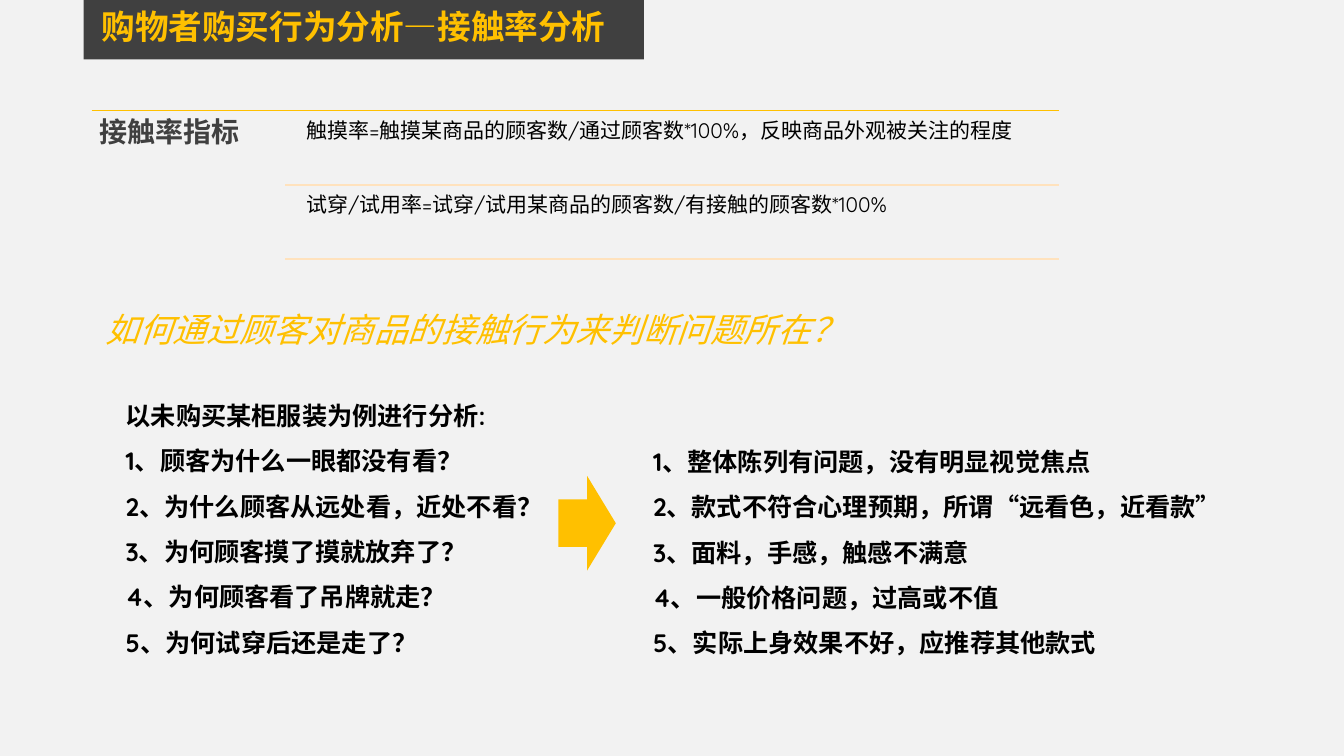
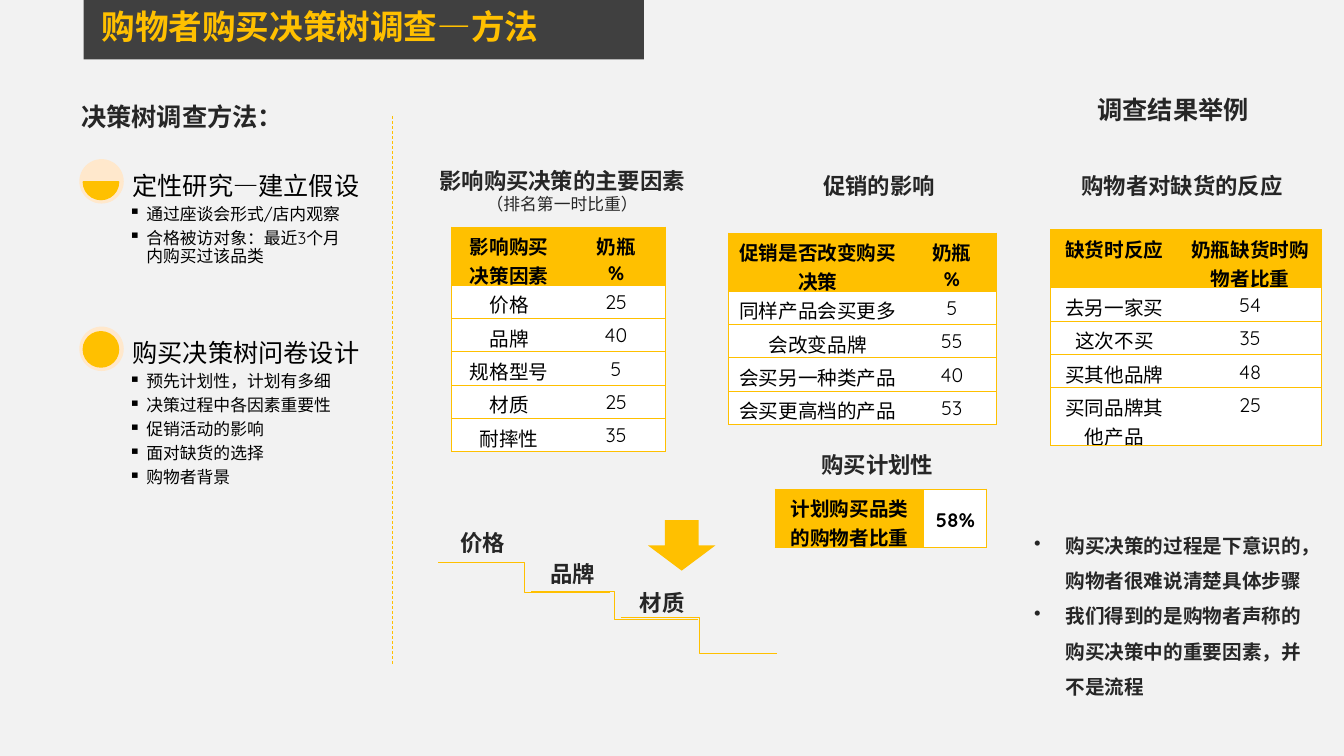
from dataclasses import dataclass

from lxml import etree
from pptx import Presentation
from pptx.dml.color import RGBColor
from pptx.enum.dml import MSO_LINE
from pptx.enum.shapes import MSO_CONNECTOR, MSO_SHAPE
from pptx.enum.text import MSO_ANCHOR, PP_ALIGN
from pptx.oxml.ns import qn
from pptx.util import Cm, Pt

LEFT, CENTER = PP_ALIGN.LEFT, PP_ALIGN.CENTER
TOP, MIDDLE, BOTTOM = MSO_ANCHOR.TOP, MSO_ANCHOR.MIDDLE, MSO_ANCHOR.BOTTOM
STRAIGHT, ELBOW = MSO_CONNECTOR.STRAIGHT, MSO_CONNECTOR.ELBOW
RECTANGLE, OVAL, CHORD = MSO_SHAPE.RECTANGLE, MSO_SHAPE.OVAL, MSO_SHAPE.CHORD
RIGHT_ARROW, DOWN_ARROW = MSO_SHAPE.RIGHT_ARROW, MSO_SHAPE.DOWN_ARROW
DASH = MSO_LINE.DASH

GOLD = RGBColor(0xFF, 0xC0, 0x00)
PALE_GOLD = RGBColor(0xFF, 0xE2, 0xBD)
HALO = RGBColor(0xFF, 0xE8, 0xCC)
CHARCOAL = RGBColor(0x40, 0x40, 0x40)
INK = RGBColor(0x26, 0x26, 0x26)
BLACK = RGBColor(0x00, 0x00, 0x00)
WHITE = RGBColor(0xFF, 0xFF, 0xFF)
PAPER = RGBColor(0xF2, 0xF2, 0xF2)

BODY_FONT = "Quicksand"
NOTE_FONT = "Noto Sans CJK SC"
PLAIN_TABLE_STYLE = "{2D5ABB26-0587-4C30-8999-92F81FD0307C}"
TALL_ROW, SHORT_ROW = 1.46, 0.84


@dataclass(frozen=True)
class Caption:
    text: str
    left: float
    top: float
    width: float
    size: float = 16
    align: PP_ALIGN = CENTER


@dataclass(frozen=True)
class Method:
    heading: str
    points: str
    top: float
    chord: tuple[float, float]


@dataclass(frozen=True)
class Survey:
    left: float
    top: float
    columns: tuple[float, float]
    rows: tuple[tuple[str, str], ...]
    tall_rows: tuple[int, ...] = (0,)
    gold_columns: tuple[int, ...] = (0, 1)
    anchor: MSO_ANCHOR = TOP


@dataclass(frozen=True)
class Step:
    start: tuple[float, float]
    end: tuple[float, float]


FORMULAS = (
    "触摸率=触摸某商品的顾客数/通过顾客数*100%，反映商品外观被关注的程度",
    "试穿/试用率=试穿/试用某商品的顾客数/有接触的顾客数*100%",
)
QUESTIONS = """以未购买某柜服装为例进行分析:
1、顾客为什么一眼都没有看？
2、为什么顾客从远处看，近处不看？
3、为何顾客摸了摸就放弃了？
4、为何顾客看了吊牌就走？
5、为何试穿后还是走了？"""
ANSWERS = """1、整体陈列有问题，没有明显视觉焦点
2、款式不符合心理预期，所谓“远看色，近看款”
3、面料，手感，触感不满意
4、一般价格问题，过高或不值
5、实际上身效果不好，应推荐其他款式"""
METHODS = (
    Method("定性研究—建立假设",
           "通过座谈会形式/店内观察\n合格被访对象：最近3个月内购买过该品类",
           4.01, (0, 108)),
    Method("购买决策树问卷设计",
           "预先计划性，计划有多细\n决策过程中各因素重要性\n促销活动的影响\n"
           "面对缺货的选择\n购物者背景",
           8.23, (162, 162)),
)
CAPTIONS = (
    Caption("决策树调查方法：", 1.8, 2.44, 8.36, 18, LEFT),
    Caption("调查结果举例", 27.41, 2.24, 4.65, 18, LEFT),
    Caption("促销的影响", 19.38, 4.22, 5.54),
    Caption("购物者对缺货的反应", 26.64, 4.22, 6.3),
    Caption("购买计划性", 20.02, 11.25, 4.19),
    Caption("价格", 10.59, 13.21, 3.15),
    Caption("品牌", 12.85, 14, 3.15),
    Caption("材质", 15.11, 14.71, 3.15),
)
SURVEYS = (
    Survey(11.38, 5.72, (2.9, 2.49),
           (("影响购买决策因素", "奶瓶\n%"), ("价格", "25"), ("品牌", "40"),
            ("规格型号", "5"), ("材质", "25"), ("耐摔性", "35"))),
    Survey(18.36, 5.87, (4.5, 2.26),
           (("促销是否改变购买决策", "奶瓶\n%"), ("同样产品会买更多", "5"),
            ("会改变品牌", "55"), ("会买另一种类产品", "40"),
            ("会买更高档的产品", "53"))),
    Survey(26.47, 5.79, (3.23, 3.61),
           (("缺货时反应", "奶瓶缺货时购物者比重"), ("去另一家买", "54"),
            ("这次不买", "35"), ("买其他品牌", "48"), ("买同品牌其他产品", "25")),
           tall_rows=(0, 4)),
    Survey(19.53, 12.32, (3.76, 1.57), (("计划购买品类的购物者比重", "58%"),),
           gold_columns=(0,), anchor=MIDDLE),
)
STEPS = (
    Step((11.05, 14.17), (15.37, 14.94)),
    Step((13.39, 14.91), (17.58, 15.6)),
    Step((15.65, 15.57), (19.58, 16.46)),
)
CONCLUSIONS = ("购买决策的过程是下意识的，购物者很难说清楚具体步骤\n"
               "我们得到的是购物者声称的购买决策中的重要因素，并不是流程")


def write_text(frame, text: str, *, size: float, color: RGBColor = BLACK,
               bold: bool = False, italic: bool = False, font: str = BODY_FONT,
               align: PP_ALIGN = LEFT, spacing: float = 1, after: float = 0,
               bullet: str = "", indent: float = 0) -> None:
    for line in text.split("\n"):
        paragraph = frame.add_paragraph() if frame.text else frame.paragraphs[0]
        paragraph.alignment = align
        paragraph.line_spacing = spacing
        paragraph.space_after = Pt(after)
        if bullet:
            properties = paragraph._p.get_or_add_pPr()
            properties.set("marL", str(Cm(indent)))
            properties.set("indent", str(-Cm(indent)))
            etree.SubElement(properties, qn("a:buChar")).set("char", bullet)
        run = paragraph.add_run()
        run.text = line
        run.font.name, run.font.size = font, Pt(size)
        run.font.bold, run.font.italic = bold, italic
        run.font.color.rgb = color


def add_text(slide, text: str, left: float, top: float, width: float, height: float,
             *, inset: float | None = None, anchor: MSO_ANCHOR = TOP, **text_format):
    frame = slide.shapes.add_textbox(Cm(left), Cm(top), Cm(width), Cm(height)).text_frame
    frame.word_wrap = True
    frame.vertical_anchor = anchor
    if inset is not None:
        frame.margin_left = frame.margin_right = Cm(inset)
        frame.margin_top = frame.margin_bottom = Cm(inset)
    write_text(frame, text, **text_format)
    return frame


def add_figure(slide, kind: MSO_SHAPE, left: float, top: float, width: float,
               height: float, color: RGBColor):
    figure = slide.shapes.add_shape(kind, Cm(left), Cm(top), Cm(width), Cm(height))
    figure.shadow.inherit = False
    figure.fill.solid()
    figure.fill.fore_color.rgb = color
    figure.line.fill.background()
    return figure


def add_rule(slide, start: tuple[float, float], end: tuple[float, float],
             color: RGBColor = GOLD, weight: float = 0.5,
             kind: MSO_CONNECTOR = STRAIGHT):
    rule = slide.shapes.add_connector(kind, *map(Cm, start + end))
    etree.SubElement(rule._element.spPr, qn("a:effectLst"))
    rule.line.color.rgb = color
    rule.line.width = Pt(weight)
    return rule


def add_border(cell, side: str) -> None:
    border = etree.SubElement(cell._tc.get_or_add_tcPr(), qn(f"a:ln{side}"))
    border.set("w", str(Pt(0.5)))
    fill = etree.SubElement(border, qn("a:solidFill"))
    etree.SubElement(fill, qn("a:srgbClr")).set("val", str(GOLD))


def add_survey(slide, survey: Survey) -> None:
    heights = [TALL_ROW if row in survey.tall_rows else SHORT_ROW
               for row in range(len(survey.rows))]
    table = slide.shapes.add_table(
        len(survey.rows), len(survey.columns), Cm(survey.left), Cm(survey.top),
        Cm(sum(survey.columns)), Cm(sum(heights))).table
    table.horz_banding = False
    table._tbl.tblPr.find(qn("a:tableStyleId")).text = PLAIN_TABLE_STYLE
    for column, width in zip(table.columns, survey.columns):
        column.width = Cm(width)
    for row, (height, values) in enumerate(zip(heights, survey.rows)):
        table.rows[row].height = Cm(height)
        for column, value in enumerate(values):
            cell = table.cell(row, column)
            is_gold = row == 0 and column in survey.gold_columns
            for side in ("R" if column else "L", "T", "B"):
                add_border(cell, side)
            cell.fill.solid()
            cell.fill.fore_color.rgb = GOLD if is_gold else WHITE
            cell.vertical_anchor = survey.anchor
            cell.margin_bottom = Cm(0)
            write_text(cell.text_frame, value, size=14, bold=row == 0, align=CENTER)


def add_titled_slide(deck, title: str):
    slide = deck.slides.add_slide(deck.slide_layouts[6])
    add_figure(slide, RECTANGLE, 2.11, 0, 14.12, 1.5, CHARCOAL)
    add_text(slide, title, 2.31, 0.15, 15.11, 1.27,
             size=24, color=GOLD, bold=True, spacing=0.9)
    return slide


def add_method(slide, method: Method) -> None:
    add_figure(slide, OVAL, 2, method.top, 1.12, 1.12, HALO)
    disc = add_figure(slide, CHORD, 2.1, method.top + 0.13, 0.89, 0.89, GOLD)
    disc.adjustments[0], disc.adjustments[1] = method.chord
    disc.line.color.rgb = GOLD
    disc.line.width = Pt(1)
    add_text(slide, method.points, 3.16, method.top + 1.1, 5.89, 4.5, inset=0.08,
             size=12, spacing=0.9, after=4.2, bullet="▪", indent=0.45)
    add_text(slide, method.heading, 3.21, method.top + 0.06, 6.81, 1.12, inset=0.13,
             anchor=BOTTOM, size=18, spacing=0.9)


def build_contact_slide(deck) -> None:
    slide = add_titled_slide(deck, "购物者购买行为分析—接触率分析")
    first_rule, gap, right = 2.79, 1.87, 26.7
    add_rule(slide, (2.31, first_rule), (right, first_rule), weight=1)
    add_text(slide, "接触率指标", 2.31, first_rule, 4.88, 3.81, inset=0.2,
             size=20, color=CHARCOAL, bold=True, spacing=0.9)
    for index, formula in enumerate(FORMULAS):
        top = first_rule + index * gap
        add_text(slide, formula, 7.57, top + 0.1, 19.13, 1.78, inset=0.15,
                 size=15, spacing=0.9)
        add_rule(slide, (7.19, top + gap), (right, top + gap), PALE_GOLD, 1)
    add_text(slide, "如何通过顾客对商品的接触行为来判断问题所在？", 2.31, 7.65, 19.33, 1.27,
             size=24, color=GOLD, italic=True, align=CENTER)
    add_text(slide, QUESTIONS, 2.92, 9.58, 11.84, 7.19, size=18, bold=True, spacing=1.5)
    add_figure(slide, RIGHT_ARROW, 14.07, 11.99, 1.45, 2.39, GOLD)
    add_text(slide, ANSWERS, 16.21, 10.74, 17.22, 6.02, size=18, bold=True, spacing=1.5)


def build_decision_slide(deck) -> None:
    slide = add_titled_slide(deck, "购物者购买决策树调查—方法")
    for method in METHODS:
        add_method(slide, method)
    add_rule(slide, (9.88, 2.92), (9.88, 16.74)).line.dash_style = DASH
    factors = add_text(slide, "影响购买决策的主要因素", 10.69, 4.09, 6.96, 1.45,
                       size=16, color=INK, bold=True, align=CENTER)
    write_text(factors, "（排名第一时比重）", size=12, color=INK, align=CENTER)
    for survey in SURVEYS:
        add_survey(slide, survey)
    add_figure(slide, DOWN_ARROW, 16.33, 13.11, 1.7, 1.27, GOLD)
    for step in STEPS:
        add_rule(slide, step.start, step.end, kind=ELBOW)
    for caption in CAPTIONS:
        add_text(slide, caption.text, caption.left, caption.top, caption.width, 0.94,
                 size=caption.size, color=INK, bold=True, align=caption.align)
    add_text(slide, CONCLUSIONS, 25.81, 13.03, 7.29, 4.75, size=14, color=INK,
             bold=True, font=NOTE_FONT, spacing=1.5, bullet="•", indent=0.79)


def main() -> None:
    deck = Presentation()
    deck.slide_width, deck.slide_height = Cm(33.87), Cm(19.05)
    background = deck.slide_master.background.fill
    background.solid()
    background.fore_color.rgb = PAPER
    build_contact_slide(deck)
    build_decision_slide(deck)
    deck.save("out.pptx")


if __name__ == "__main__":
    main()
